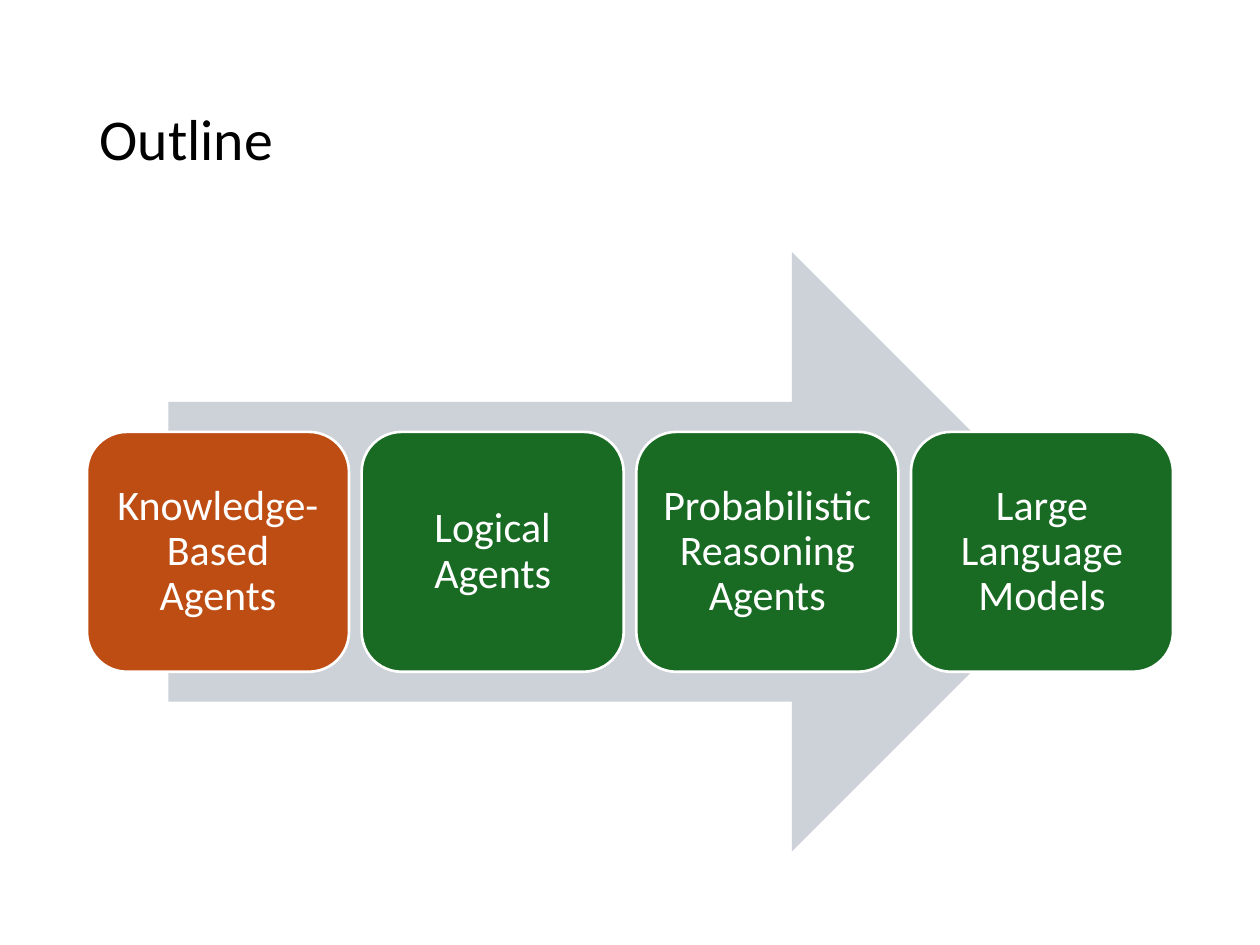
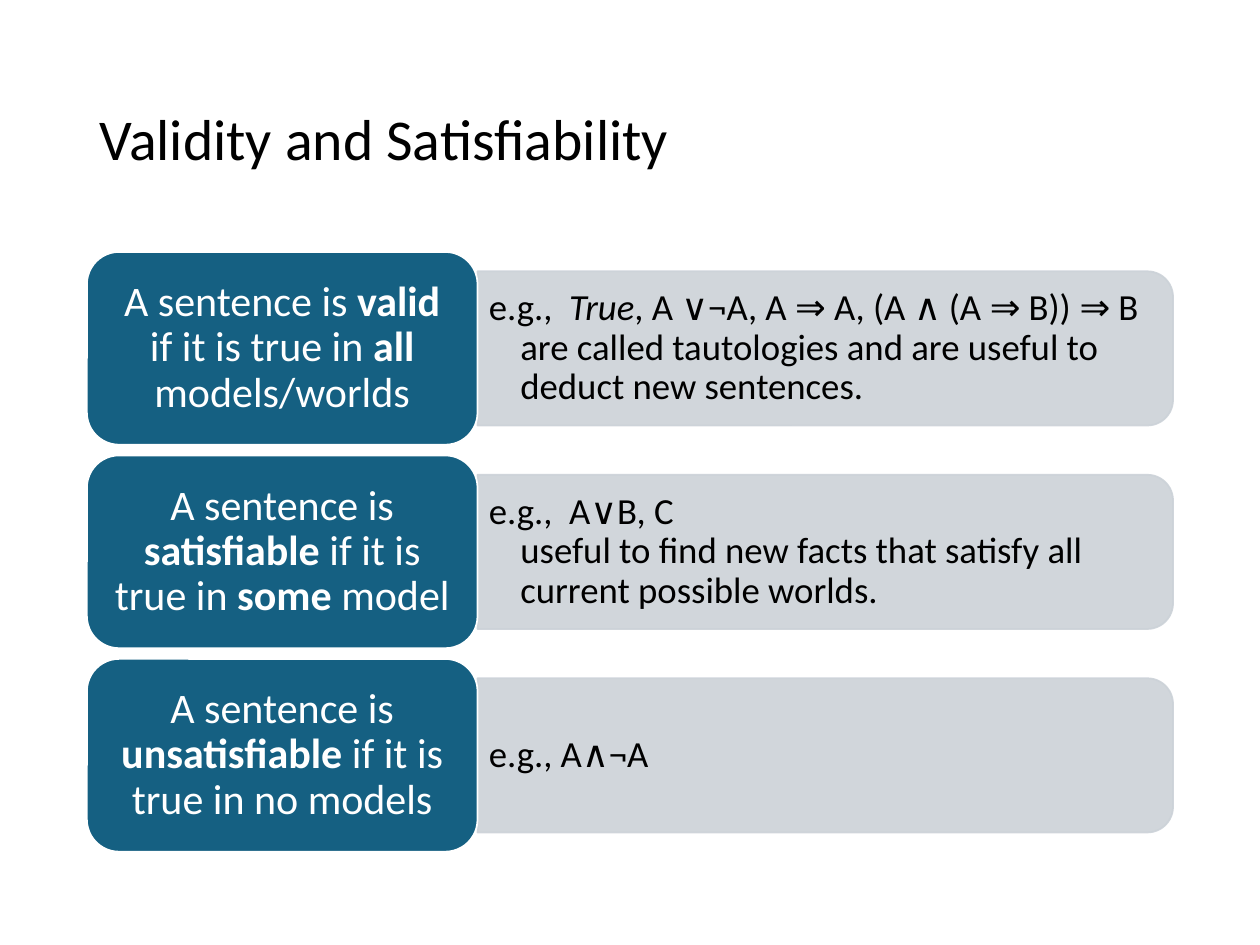
from lxml import etree
from pptx import Presentation
from pptx.dml.color import RGBColor
from pptx.enum import shapes, text
from pptx.oxml.ns import qn
from pptx.util import Inches, Pt

FONT = "Calibri"
BLACK, WHITE, GRAY = "000000", "FFFFFF", "CCD2D8"
ORANGE, GREEN, BLUE = "BE4D14", "196B24", "156082"
LEFT, TOP, WIDTH, HEIGHT = 0.69, 2, 8.62, 4.76

TOPICS = [
    ("Knowledge-Based Agents", ORANGE),
    ("Logical Agents", GREEN),
    ("Probabilistic Reasoning Agents", GREEN),
    ("Large Language Models", GREEN),
]

# Each text is a list of (words, style); the style is "", "b" or "i".
DEFINITIONS = [
    ([("A sentence is ", ""), ("valid", "b"), (" if it is true in ", ""),
      ("all", "b"), (" models/worlds", "")],
     [("e.g.,  ", ""), ("True", "i"),
      (", A ∨¬A, A ⇒ A, (A ∧ (A ⇒ B)) ⇒ B\n"
       "are called tautologies and are useful to deduct new sentences.", "")]),
    ([("A sentence is ", ""), ("satisfiable", "b"), (" if it is true in ", ""),
      ("some", "b"), (" model", "")],
     [("e.g.,  A∨B, C\n"
       "useful to find new facts that satisfy all current possible worlds.", "")]),
    ([("A sentence is ", ""), ("unsatisfiable", "b"),
      (" if it is true in no models", "")],
     [("e.g., A∧¬A", "")]),
]


def rgb(color):
    return RGBColor.from_string(color)


def write(sp, runs, size, color, align, margins=(0.1, 0.05)):
    """Fill a shape with one paragraph; margins are (sides, top and bottom)."""
    tf = sp.text_frame
    tf.word_wrap = True
    tf.vertical_anchor = text.MSO_ANCHOR.MIDDLE
    tf.margin_left = tf.margin_right = Inches(margins[0])
    tf.margin_top = tf.margin_bottom = Inches(margins[1])
    p = tf.paragraphs[0]
    p.alignment = align
    p.line_spacing = 0.9
    for words, style in runs:
        for i, line in enumerate(words.split("\n")):
            if i:
                p.add_line_break()
            r = p.add_run()
            r.text = line
            r.font.name, r.font.size = FONT, Pt(size)
            r.font.color.rgb = rgb(color)
            r.font.bold, r.font.italic = style == "b", style == "i"
    return p


def add_shape(s, kind, box, fill, line=None, line_width=1):
    sp = s.shapes.add_shape(kind, *map(Inches, box))
    sp.shadow.inherit = False
    sp.fill.solid()
    sp.fill.fore_color.rgb = rgb(fill)
    if line:
        sp.line.color.rgb = rgb(line)
        sp.line.width = Pt(line_width)
    else:
        sp.line.fill.background()
    return sp


def set_opacity(sp, percent):
    for color in sp._element.spPr.iter(qn("a:srgbClr")):
        etree.SubElement(color, qn("a:alpha"), val=str(percent * 1000))


def add_slide(prs, title):
    s = prs.slides.add_slide(prs.slide_layouts[5])
    sp = s.shapes.title
    sp.left, sp.top, sp.width, sp.height = map(Inches, (LEFT, 0.4, WIDTH, 1.45))
    write(sp, [(title, "")], 33, BLACK, text.PP_ALIGN.LEFT)
    return s


def add_outline(prs):
    s = add_slide(prs, "Outline")
    arrow_width = 0.85 * WIDTH
    add_shape(s, shapes.MSO_SHAPE.RIGHT_ARROW,
              (LEFT + (WIDTH - arrow_width) / 2, TOP, arrow_width, HEIGHT), GRAY)
    card_width, card_height = 2.08, 0.4 * HEIGHT
    step = (WIDTH - card_width) / (len(TOPICS) - 1)
    for i, (topic, color) in enumerate(TOPICS):
        box = (LEFT + i * step, TOP + (HEIGHT - card_height) / 2, card_width, card_height)
        card = add_shape(s, shapes.MSO_SHAPE.ROUNDED_RECTANGLE, box, color, WHITE, 1.5)
        write(card, [(topic, "")], 24, WHITE, text.PP_ALIGN.CENTER, (0.1, 0.1))


def add_example(s, runs, left, middle, width, height):
    """Draw a bar rounded at its right end, with hanging text over it."""
    box = (left + (width - height) / 2, middle - width / 2, height, width)
    bar = add_shape(s, shapes.MSO_SHAPE.ROUND_2_SAME_RECTANGLE, box, GRAY, GRAY)
    bar.rotation = 90
    set_opacity(bar, 90)
    text_height = 1.11
    label = s.shapes.add_textbox(*map(Inches, (left, middle - text_height / 2,
                                               width - 0.06, text_height)))
    p = write(label, runs, 21, BLACK, text.PP_ALIGN.LEFT, (0.09, 0.04))
    pPr = p._p.get_or_add_pPr()
    pPr.set("marL", str(Inches(0.25)))
    pPr.set("indent", str(Inches(-0.25)))


def add_definitions(prs):
    s = add_slide(prs, "Validity and Satisfiability")
    card_width, card_height = 3.1, 1.53
    step = (HEIGHT - card_height) / (len(DEFINITIONS) - 1)
    for i, (definition, example) in enumerate(DEFINITIONS):
        top = TOP + i * step
        add_example(s, example, LEFT + card_width, top + card_height / 2,
                    WIDTH - card_width, 0.8 * card_height)
        card = add_shape(s, shapes.MSO_SHAPE.ROUNDED_RECTANGLE,
                         (LEFT, top, card_width, card_height), BLUE, WHITE)
        write(card, definition, 24, WHITE, text.PP_ALIGN.CENTER)


def main():
    prs = Presentation()
    prs.slide_width, prs.slide_height = Inches(10), Inches(7.5)
    add_outline(prs)
    add_definitions(prs)
    prs.save("out.pptx")


if __name__ == "__main__":
    main()
